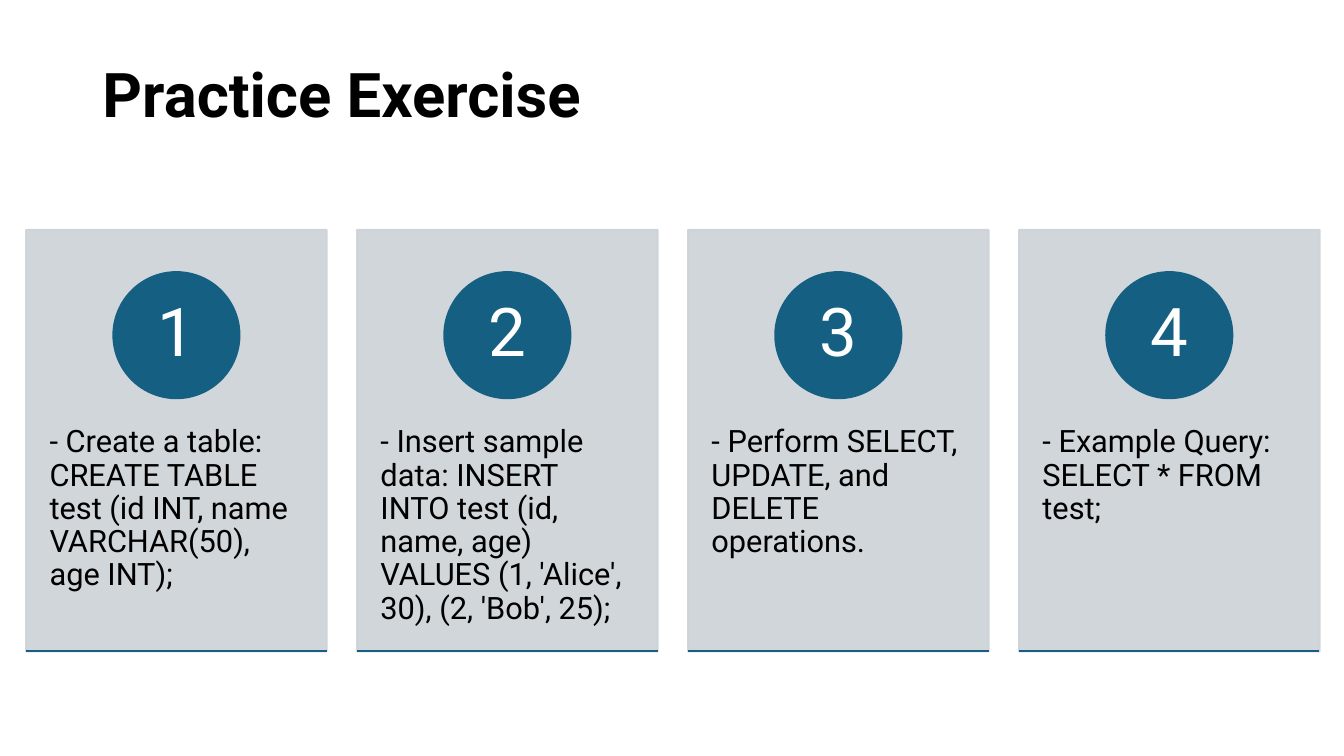
"""Build the Practice Exercise slide with four numbered SQL step cards."""
from dataclasses import dataclass

from lxml.etree import SubElement
from pptx import Presentation
from pptx.dml.color import RGBColor
from pptx.enum.shapes import MSO_CONNECTOR, MSO_SHAPE
from pptx.enum.text import MSO_ANCHOR, PP_ALIGN
from pptx.oxml.ns import qn
from pptx.util import Pt

HEADING = "Practice Exercise"
STEPS = [
    "- Create a table: CREATE TABLE test (id INT, name VARCHAR(50), age INT);",
    "- Insert sample data: INSERT INTO test (id, name, age) VALUES (1, 'Alice', 30), (2, 'Bob', 25);",
    "- Perform SELECT, UPDATE, and DELETE operations.",
    "- Example Query: SELECT * FROM test;",
]


@dataclass(frozen=True)
class Theme:
    font: str = "Roboto"
    ink: str = "000000"
    card: str = "CCD2D8"
    accent: str = "156082"
    on_accent: str = "FFFFFF"
    card_opacity: int = 90
    rule: float = 1.5
    heading_size: int = 44
    number_size: int = 48
    step_size: int = 22


THEME = Theme()
SLIDE_W, SLIDE_H = 960, 540
CARD_LEFT, CARD_TOP, CARD_W, CARD_H = 18.7, 164.2, 214.6, 301
CARD_PITCH = 236.4
CIRCLE_TOP, CIRCLE_SIZE = 194.4, 90
STEP_TOP, STEP_H = 278.6, 180.7


def write(holder, text, *, size, color=THEME.ink, bold=False, align=PP_ALIGN.LEFT,
          anchor=MSO_ANCHOR.TOP, inset=(7.2, 3.6)):
    """Put one formatted paragraph in a shape, with side and top insets."""
    frame = holder.text_frame
    frame.word_wrap = True
    frame.vertical_anchor = anchor
    frame.margin_left = frame.margin_right = Pt(inset[0])
    frame.margin_top = frame.margin_bottom = Pt(inset[1])
    paragraph = frame.paragraphs[0]
    paragraph.alignment = align
    paragraph.line_spacing = 0.9
    run = paragraph.add_run()
    run.text = text
    run.font.name = THEME.font
    run.font.size = Pt(size)
    run.font.bold = bold
    run.font.color.rgb = RGBColor.from_string(color)


def add_block(slide, kind, box, color, opacity=100):
    """Add a filled and outlined preset shape in one colour."""
    block = slide.shapes.add_shape(kind, *map(Pt, box))
    block.shadow.inherit = False
    block.fill.solid()
    block.line.width = Pt(THEME.rule)
    for paint in (block.fill.fore_color, block.line.color):
        paint.rgb = RGBColor.from_string(color)
    if opacity < 100:
        for tint in block.element.spPr.iter(qn("a:srgbClr")):
            SubElement(tint, qn("a:alpha"), val=str(opacity * 1000))
    return block


def add_rule(slide, left, top, width):
    """Draw the accent line along the bottom of a card."""
    rule = slide.shapes.add_connector(
        MSO_CONNECTOR.STRAIGHT, Pt(left), Pt(top), Pt(left + width), Pt(top))
    rule.line.width = Pt(THEME.rule)
    rule.line.color.rgb = RGBColor.from_string(THEME.accent)
    SubElement(rule.element.spPr, qn("a:effectLst"))


def add_card(slide, index, step):
    """Add one numbered step card at its place in the row."""
    left = CARD_LEFT + index * CARD_PITCH
    add_block(slide, MSO_SHAPE.RECTANGLE, (left, CARD_TOP, CARD_W, CARD_H),
              THEME.card, THEME.card_opacity)
    instruction = slide.shapes.add_textbox(*map(Pt, (left, STEP_TOP, CARD_W, STEP_H)))
    write(instruction, step, size=THEME.step_size, inset=(16.7, 25.9))
    circle_left = left + (CARD_W - CIRCLE_SIZE) / 2
    number = add_block(slide, MSO_SHAPE.OVAL,
                       (circle_left, CIRCLE_TOP, CIRCLE_SIZE, CIRCLE_SIZE), THEME.accent)
    write(number, str(index + 1), size=THEME.number_size, color=THEME.on_accent,
          align=PP_ALIGN.CENTER, anchor=MSO_ANCHOR.MIDDLE, inset=(7.2, 0.7))
    add_rule(slide, left, CARD_TOP + CARD_H, CARD_W)


def main():
    """Create the slide and save it."""
    deck = Presentation()
    deck.slide_width, deck.slide_height = Pt(SLIDE_W), Pt(SLIDE_H)
    slide = deck.slides.add_slide(deck.slide_layouts[5])
    heading = slide.shapes.title
    heading.left, heading.top, heading.width, heading.height = map(Pt, (66, 40.3, 828, 104.4))
    write(heading, HEADING, size=THEME.heading_size, bold=True, inset=(7.2, 5.8))
    for index, step in enumerate(STEPS):
        add_card(slide, index, step)
    deck.save("out.pptx")


if __name__ == "__main__":
    main()
